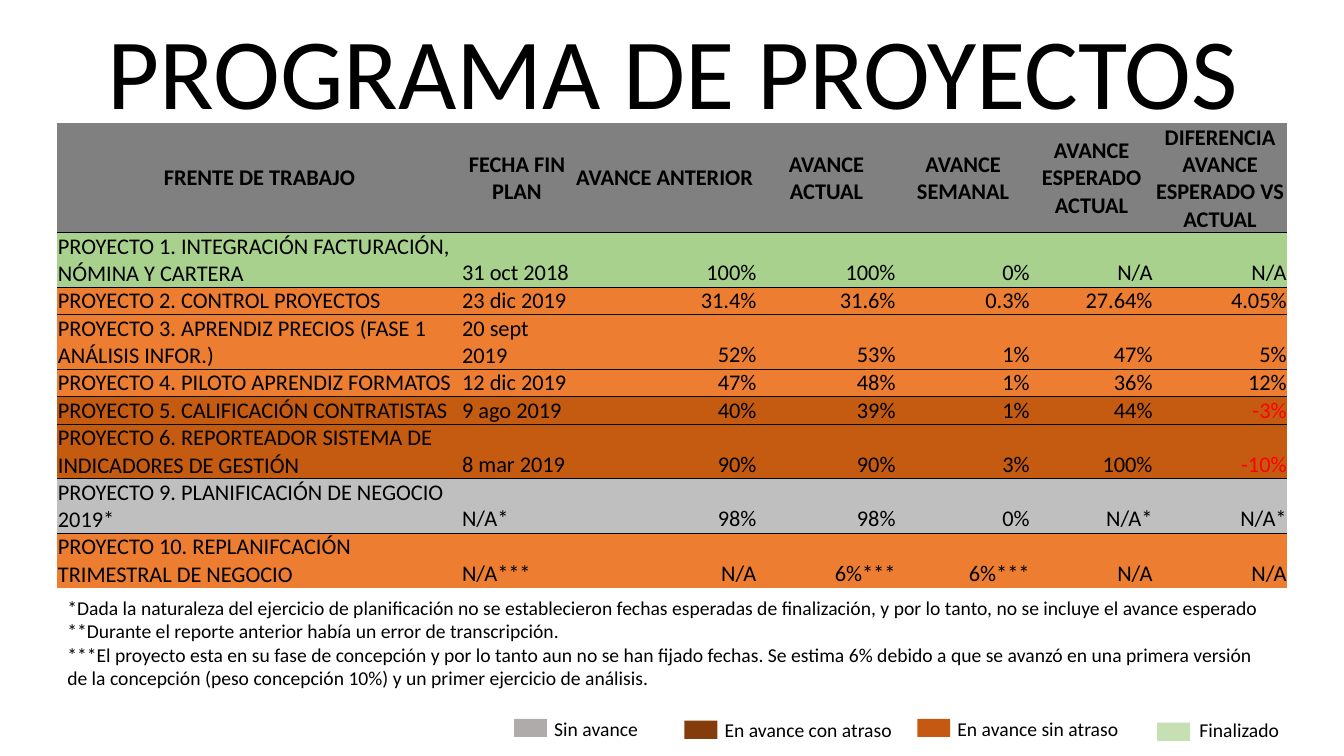
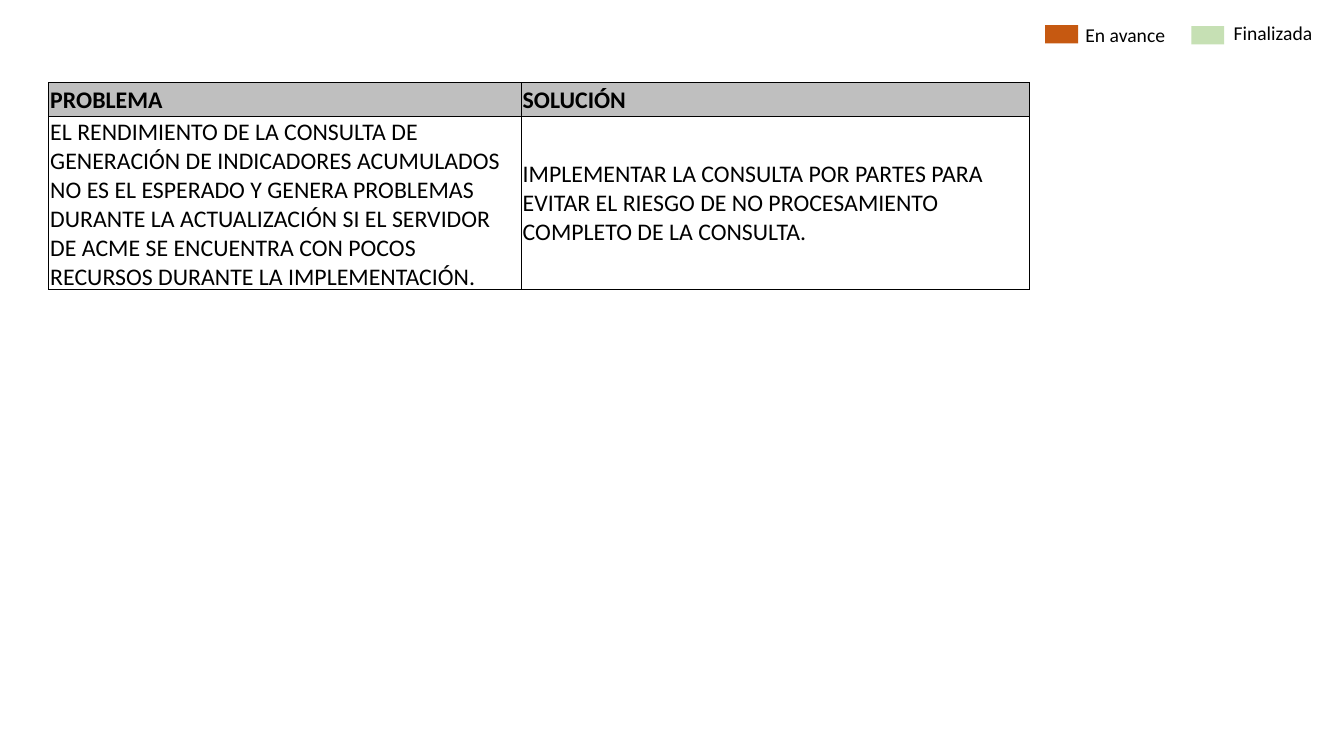
import dataclasses

import lxml.etree
import pptx
import pptx.dml.color
import pptx.enum.shapes
import pptx.enum.text
import pptx.oxml.ns
import pptx.util

Pt = pptx.util.Pt
ALIGN = pptx.enum.text.PP_ALIGN
ANCHOR = pptx.enum.text.MSO_ANCHOR
PLAIN_TABLE_STYLE = "{2D5ABB26-0587-4C30-8999-92F81FD0307C}"


@dataclasses.dataclass(frozen=True)
class Theme:
    font: str = "Calibri"
    title_size: float = 72
    solution_size: float = 17
    program_size: float = 16
    note_size: float = 14
    text: str = "000000"
    negative: str = "FF0000"
    program_header: str = "808080"
    solution_header: str = "BFBFBF"
    row_finished: str = "A9D18E"
    row_on_time: str = "ED7D31"
    row_late: str = "C55A11"
    row_idle: str = "BFBFBF"
    legend_finished: str = "C6E0B4"
    legend_on_time: str = "C65911"
    legend_late: str = "843C0B"
    legend_idle: str = "AFABAB"
    border_width: float = 0.5


THEME = Theme()

PROGRAM_WIDTHS = (288.7, 79.2, 131.8, 99.4, 95.8, 87.8, 95.8)
PROGRAM_LINE_HEIGHT = 19.5
PROGRAM_HEADER = (
    "FRENTE DE TRABAJO", "FECHA FIN PLAN", "AVANCE ANTERIOR", "AVANCE ACTUAL",
    "AVANCE SEMANAL", "AVANCE ESPERADO ACTUAL", "DIFERENCIA AVANCE ESPERADO VS ACTUAL",
)
# Row colour, number of text lines, cell texts
PROJECTS = (
    (THEME.row_finished, 2, ("PROYECTO 1. INTEGRACIÓN FACTURACIÓN, NÓMINA Y CARTERA",
                             "31 oct 2018", "100%", "100%", "0%", "N/A", "N/A")),
    (THEME.row_on_time, 1, ("PROYECTO 2. CONTROL PROYECTOS",
                            "23 dic 2019", "31.4%", "31.6%", "0.3%", "27.64%", "4.05%")),
    (THEME.row_on_time, 2, ("PROYECTO 3. APRENDIZ PRECIOS (FASE 1 ANÁLISIS INFOR.)",
                            "20 sept 2019", "52%", "53%", "1%", "47%", "5%")),
    (THEME.row_on_time, 1, ("PROYECTO 4. PILOTO APRENDIZ FORMATOS",
                            "12 dic 2019", "47%", "48%", "1%", "36%", "12%")),
    (THEME.row_late, 1, ("PROYECTO 5. CALIFICACIÓN CONTRATISTAS",
                         "9 ago 2019", "40%", "39%", "1%", "44%", "-3%")),
    (THEME.row_late, 2, ("PROYECTO 6. REPORTEADOR SISTEMA DE INDICADORES DE GESTIÓN",
                         "8 mar 2019", "90%", "90%", "3%", "100%", "-10%")),
    (THEME.row_idle, 2, ("PROYECTO 9. PLANIFICACIÓN DE NEGOCIO 2019*",
                         "N/A*", "98%", "98%", "0%", "N/A*", "N/A*")),
    (THEME.row_on_time, 2, ("PROYECTO 10. REPLANIFCACIÓN TRIMESTRAL DE NEGOCIO",
                            "N/A***", "N/A", "6%***", "6%***", "N/A", "N/A")),
)
PROGRAM_NOTES = (
    "*Dada la naturaleza del ejercicio de planificación no se establecieron fechas esperadas "
    "de finalización, y por lo tanto, no se incluye el avance esperado",
    "**Durante el reporte anterior había un error de transcripción.",
    "***El proyecto esta en su fase de concepción y por lo tanto aun no se han fijado fechas. "
    "Se estima 6% debido a que se avanzó en una primera versión de la concepción "
    "(peso concepción 10%) y un primer ejercicio de análisis.",
)
SOLUTION_ROWS = (
    ("PROBLEMA", "SOLUCIÓN"),
    ("EL RENDIMIENTO DE LA CONSULTA DE GENERACIÓN DE INDICADORES ACUMULADOS NO ES EL ESPERADO "
     "Y GENERA PROBLEMAS DURANTE LA ACTUALIZACIÓN SI EL SERVIDOR DE ACME SE ENCUENTRA CON POCOS "
     "RECURSOS DURANTE LA IMPLEMENTACIÓN.",
     "IMPLEMENTAR LA CONSULTA POR PARTES PARA EVITAR EL RIESGO DE NO PROCESAMIENTO COMPLETO "
     "DE LA CONSULTA."),
)
# Label, colour, swatch corner, label corner, label width
PROGRAM_LEGEND = (
    ("Sin avance", THEME.legend_idle, (367.2, 513.4), (388.8, 508.3), 94),
    ("En avance con atraso", THEME.legend_late, (488.9, 514.8), (510.5, 509), 139),
    ("En avance sin atraso", THEME.legend_on_time, (655.2, 513.4), (676.8, 508.3), 139),
    ("Finalizado", THEME.legend_finished, (826.6, 516.2), (849.6, 509), 73.5),
)
SOLUTION_LEGEND = (
    ("En avance", THEME.legend_on_time, (746.6, 18), (768.2, 13), 72),
    ("Finalizada", THEME.legend_finished, (851, 18.7), (874, 11.5), 73.5),
)


def rgb(color):
    return pptx.dml.color.RGBColor.from_string(color)


def apply_format(target, values):
    for name, value in values.items():
        setattr(target, name, value)


def write_text(text_frame, lines, size, color=THEME.text, bold=False, alignment=ALIGN.LEFT):
    for index, line in enumerate(lines):
        paragraph = text_frame.add_paragraph() if index else text_frame.paragraphs[0]
        paragraph.text = line
        paragraph.alignment = alignment
        apply_format(paragraph.font, {"name": THEME.font, "size": Pt(size), "bold": bold})
        paragraph.font.color.rgb = rgb(color)


def fit_text_frame(text_frame):
    apply_format(text_frame, {
        "word_wrap": True,
        "auto_size": pptx.enum.text.MSO_AUTO_SIZE.SHAPE_TO_FIT_TEXT,
        "vertical_anchor": ANCHOR.TOP,
    })


def add_title(slide, text):
    title = slide.shapes.title
    apply_format(title, {"left": Pt(45.4), "top": Pt(2.9), "width": Pt(871), "height": Pt(94.3)})
    fit_text_frame(title.text_frame)
    write_text(title.text_frame, [text], THEME.title_size, alignment=ALIGN.CENTER)


def add_text(slide, lines, left, top, width, height):
    box = slide.shapes.add_textbox(Pt(left), Pt(top), Pt(width), Pt(height))
    fit_text_frame(box.text_frame)
    write_text(box.text_frame, lines, THEME.note_size)


def add_legend(slide, entries):
    for label, color, swatch_corner, label_corner, label_width in entries:
        swatch = slide.shapes.add_shape(
            pptx.enum.shapes.MSO_SHAPE.RECTANGLE,
            *map(Pt, swatch_corner), Pt(23.5), Pt(13))
        swatch.shadow.inherit = False
        swatch.fill.solid()
        swatch.fill.fore_color.rgb = rgb(color)
        swatch.line.fill.background()
        add_text(slide, [label], *label_corner, label_width, 24.3)


def add_plain_table(slide, left, top, widths, heights):
    """Add a table without banding or style borders."""
    frame = slide.shapes.add_table(
        len(heights), len(widths), Pt(left), Pt(top), Pt(sum(widths)), Pt(sum(heights)))
    table = frame.table
    apply_format(table, {"first_row": False, "horz_banding": False})
    style = table._tbl.tblPr.find(pptx.oxml.ns.qn("a:tableStyleId"))
    style.text = PLAIN_TABLE_STYLE
    for column, width in zip(table.columns, widths):
        column.width = Pt(width)
    for row, height in zip(table.rows, heights):
        row.height = Pt(height)
    return table


def set_borders(cell, sides):
    """Draw thin borders on sides, a string of letters in the order LRTB."""
    properties = cell._tc.get_or_add_tcPr()
    for side in sides:
        line = lxml.etree.SubElement(
            properties, pptx.oxml.ns.qn(f"a:ln{side}"), w=str(Pt(THEME.border_width)))
        fill = lxml.etree.SubElement(line, pptx.oxml.ns.qn("a:solidFill"))
        lxml.etree.SubElement(fill, pptx.oxml.ns.qn("a:srgbClr"), val=THEME.text)


def format_cell(cell, text, size, sides, inset, fill=None, anchor=ANCHOR.MIDDLE, **text_format):
    set_borders(cell, sides)
    apply_format(cell, {
        "margin_left": Pt(inset), "margin_right": Pt(inset), "margin_top": Pt(inset),
        "margin_bottom": 0, "vertical_anchor": anchor,
    })
    if fill:
        cell.fill.solid()
        cell.fill.fore_color.rgb = rgb(fill)
    else:
        cell.fill.background()
    write_text(cell.text_frame, [text], size, **text_format)


def add_program_table(slide):
    rows = ((THEME.program_header, 4, PROGRAM_HEADER),) + PROJECTS
    heights = [lines * PROGRAM_LINE_HEIGHT for _, lines, _ in rows]
    table = add_plain_table(slide, 41, 88, PROGRAM_WIDTHS, heights)
    for row, (fill, _, texts) in enumerate(rows):
        is_header = row == 0
        sides = ("" if is_header else "T") + ("B" if row < len(rows) - 1 else "")
        for column, text in enumerate(texts):
            body_alignment = ALIGN.LEFT if column < 2 else ALIGN.RIGHT
            format_cell(
                table.cell(row, column), text, THEME.program_size, sides, 0.4, fill,
                anchor=ANCHOR.MIDDLE if is_header else ANCHOR.BOTTOM,
                alignment=ALIGN.CENTER if is_header else body_alignment,
                color=THEME.negative if text.startswith("-") else THEME.text,
                bold=is_header)


def add_solution_table(slide):
    table = add_plain_table(slide, 34.7, 59, (337.5, 362.7), (23.8, 124))
    for row, texts in enumerate(SOLUTION_ROWS):
        is_header = row == 0
        for column, text in enumerate(texts):
            format_cell(
                table.cell(row, column), text, THEME.solution_size, "LRTB", 1.2,
                THEME.solution_header if is_header else None, bold=is_header)


def main():
    presentation = pptx.Presentation()
    presentation.slide_width = Pt(960)
    presentation.slide_height = Pt(540)
    title_only, blank = presentation.slide_layouts[5], presentation.slide_layouts[6]

    program = presentation.slides.add_slide(title_only)
    add_title(program, "PROGRAMA DE PROYECTOS")
    add_program_table(program)
    add_legend(program, PROGRAM_LEGEND)
    add_text(program, PROGRAM_NOTES, 41, 422, 878, 75)

    solutions = presentation.slides.add_slide(blank)
    add_legend(solutions, SOLUTION_LEGEND)
    add_solution_table(solutions)

    presentation.save("out.pptx")


if __name__ == "__main__":
    main()
